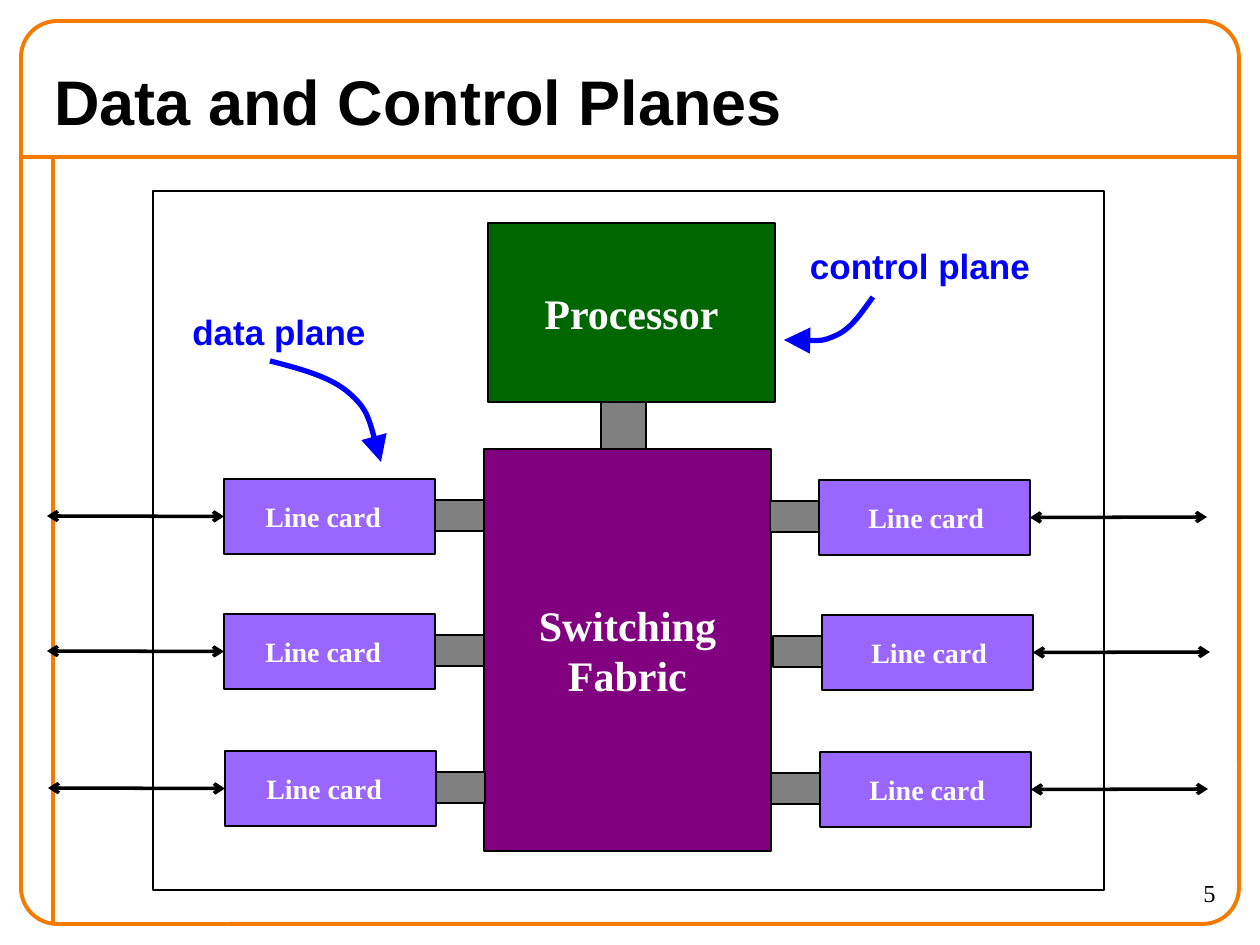
from lxml import etree
from pptx import Presentation
from pptx.dml.color import RGBColor
from pptx.enum.shapes import MSO_CONNECTOR, MSO_SHAPE
from pptx.enum.text import MSO_ANCHOR, MSO_AUTO_SIZE, PP_ALIGN
from pptx.oxml.ns import qn
from pptx.util import Pt

PX = 914400 / 126
RECT, ROUND = MSO_SHAPE.RECTANGLE, MSO_SHAPE.ROUNDED_RECTANGLE
LINE = MSO_CONNECTOR.STRAIGHT
LEFT, MID, RIGHT = PP_ALIGN.LEFT, PP_ALIGN.CENTER, PP_ALIGN.RIGHT
TOP, CENTER = MSO_ANCHOR.TOP, MSO_ANCHOR.MIDDLE
GROW = MSO_AUTO_SIZE.SHAPE_TO_FIT_TEXT
ARIAL, TIMES = "Arial", "Times New Roman"
BLACK, WHITE, BLUE, ORANGE = "000000", "FFFFFF", "0000FF", "F47A00"
GREY, GREEN, PURPLE, VIOLET = "808080", "006600", "800080", "9966FF"


def ink(shape, color, width, head=None, tail=None, size="med"):
    """Set the outline and its arrowheads, and drop the shadow."""
    shape.line.color.rgb = RGBColor.from_string(color)
    shape.line.width = Pt(width)
    props = shape._element.spPr
    for end, kind in (("headEnd", head), ("tailEnd", tail)):
        if kind:
            etree.SubElement(props.find(qn("a:ln")), qn("a:" + end),
                             type=kind, w=size, len=size)
    etree.SubElement(props, qn("a:effectLst"))


def write(shape, lines, size, color, font, bold=True, align=MID,
          anchor=TOP, wrap=False):
    frame = shape.text_frame
    frame.word_wrap = wrap
    frame.vertical_anchor = anchor
    for i, text in enumerate(lines):
        para = frame.add_paragraph() if i else frame.paragraphs[0]
        para.alignment = align
        run = para.add_run()
        run.text = text
        run.font.name = font
        run.font.size = Pt(size)
        run.font.bold = bold
        run.font.color.rgb = RGBColor.from_string(color)


deck = Presentation()
deck.slide_width, deck.slide_height = int(1260 * PX), int(945 * PX)
slide = deck.slides.add_slide(deck.slide_layouts[6])
shapes = slide.shapes

# Border and rules
for ends in ((21, 157, 1239, 157), (53, 157, 53, 924)):
    rule = shapes.add_connector(LINE, *[int(n * PX) for n in ends])
    ink(rule, ORANGE, 2.25)
border = shapes.add_shape(ROUND, *[int(n * PX) for n in (21, 21, 1218, 903)])
border.adjustments[0] = 0.04
border.fill.background()
ink(border, ORANGE, 2.25)

# Router core
for place, fill, lines in (
    ((484, 449, 287, 402), PURPLE, ["Switching", "Fabric"]),
    ((488, 223, 287, 179), GREEN, ["Processor"]),
    ((601, 402, 45, 47), GREY, []),
):
    block = shapes.add_shape(RECT, *[int(n * PX) for n in place])
    block.fill.solid()
    block.fill.fore_color.rgb = RGBColor.from_string(fill)
    ink(block, BLACK, 0.75)
    write(block, lines, 24, WHITE, TIMES, anchor=CENTER)

# Line cards: links face the fabric, wires run outwards
for x, y in ((224, 479), (224, 614), (225, 751),
             (819, 480), (822, 615), (820, 752)):
    west = x < 484
    link = x + 211 if west else x - 49
    for place, fill in (((x, y, 211, 75), VIOLET),
                        ((link, y + 21, 49, 31), GREY)):
        part = shapes.add_shape(RECT, *[int(n * PX) for n in place])
        part.fill.solid()
        part.fill.fore_color.rgb = RGBColor.from_string(fill)
        ink(part, BLACK, 0.75)
        if fill == VIOLET:
            card = part
    place = (x + (29 if west else 37), y + 14, 144, 47)
    label = shapes.add_textbox(*[int(n * PX) for n in place])
    write(label, ["Line card"], 16, WHITE, TIMES, align=LEFT)
    label.text_frame.auto_size = GROW
    far, mid = (x - 177 if west else x + 388), y + 37
    wire = shapes.add_connector(LINE, 0, 0, int(far * PX), int(mid * PX))
    wire.begin_connect(card, 1 if west else 3)
    ink(wire, BLACK, 2, "arrow", "arrow")

chassis = shapes.add_shape(RECT, *[int(n * PX) for n in (153, 191, 951, 699)])
chassis.fill.background()
ink(chassis, BLACK, 0.75)

# Curved pointers: a start, then two cubic segments of three points
for start, *points in (
    ((270, 361), (301, 369), (331, 377), (349, 393),
     (368, 409), (374, 436), (381, 462)),
    ((873, 297), (862, 312), (852, 328), (837, 335),
     (822, 342), (803, 341), (784, 340)),
):
    build = shapes.build_freeform(*start, scale=PX)
    build.add_line_segments(points, close=False)
    arc = build.convert_to_shape()
    steps = list(arc._element.iter(qn("a:lnTo")))
    for i in (0, 3):
        steps[i].tag = qn("a:cubicBezTo")
        for step in steps[i + 1:i + 3]:
            steps[i].append(step[0])
            step.getparent().remove(step)
    arc.fill.background()
    ink(arc, BLUE, 3, tail="triangle", size="lg")

# Plane names
for place, text in (((174, 304, 210, 55), "data plane"),
                    ((792, 238, 256, 55), "control plane")):
    name = shapes.add_textbox(*[int(n * PX) for n in place])
    write(name, [text], 20, BLUE, ARIAL)
    name.text_frame.auto_size = GROW

# Title and page number
title = shapes.add_textbox(*[int(n * PX) for n in (42, 53, 1111, 94)])
write(title, ["Data and Control Planes"], 36, BLACK, ARIAL,
      align=LEFT, anchor=CENTER, wrap=True)
page = shapes.add_textbox(*[int(n * PX) for n in (1102, 872, 126, 53)])
write(page, ["5"], 14, BLACK, TIMES, bold=False, align=RIGHT, wrap=True)

deck.save("out.pptx")
